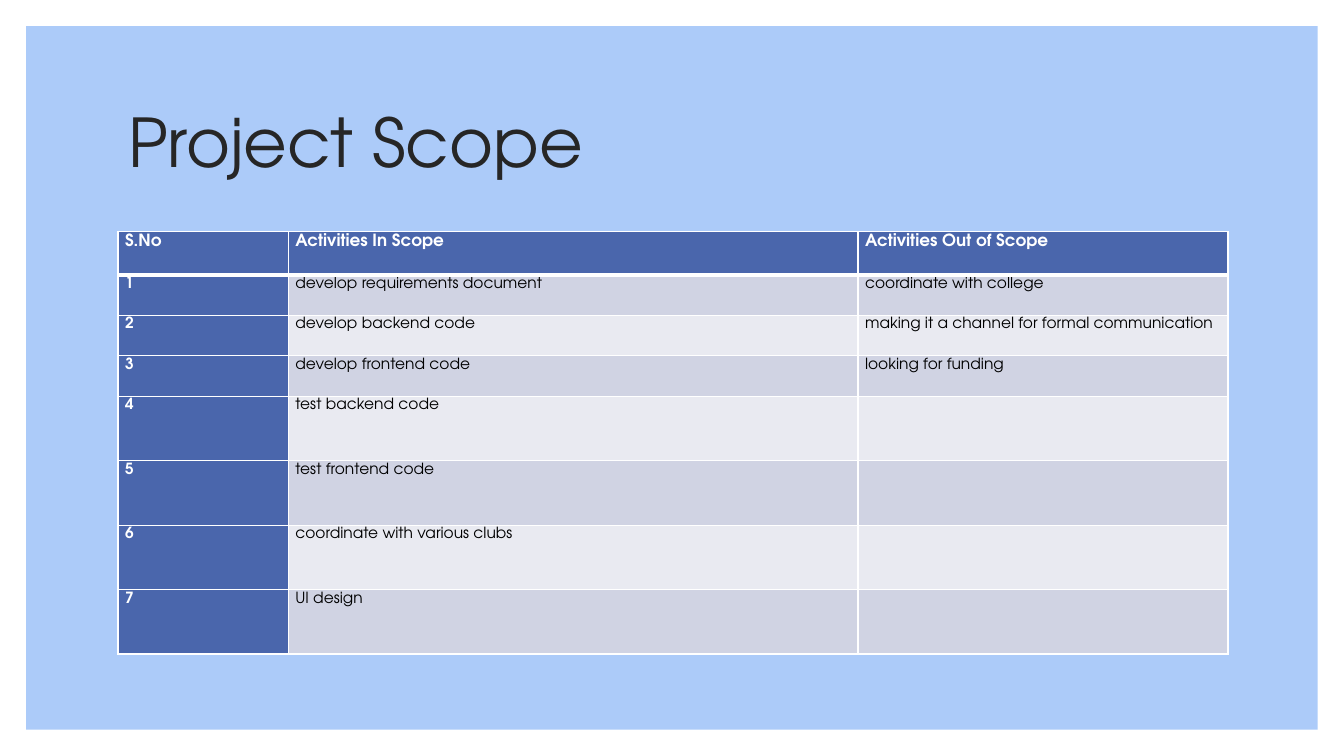
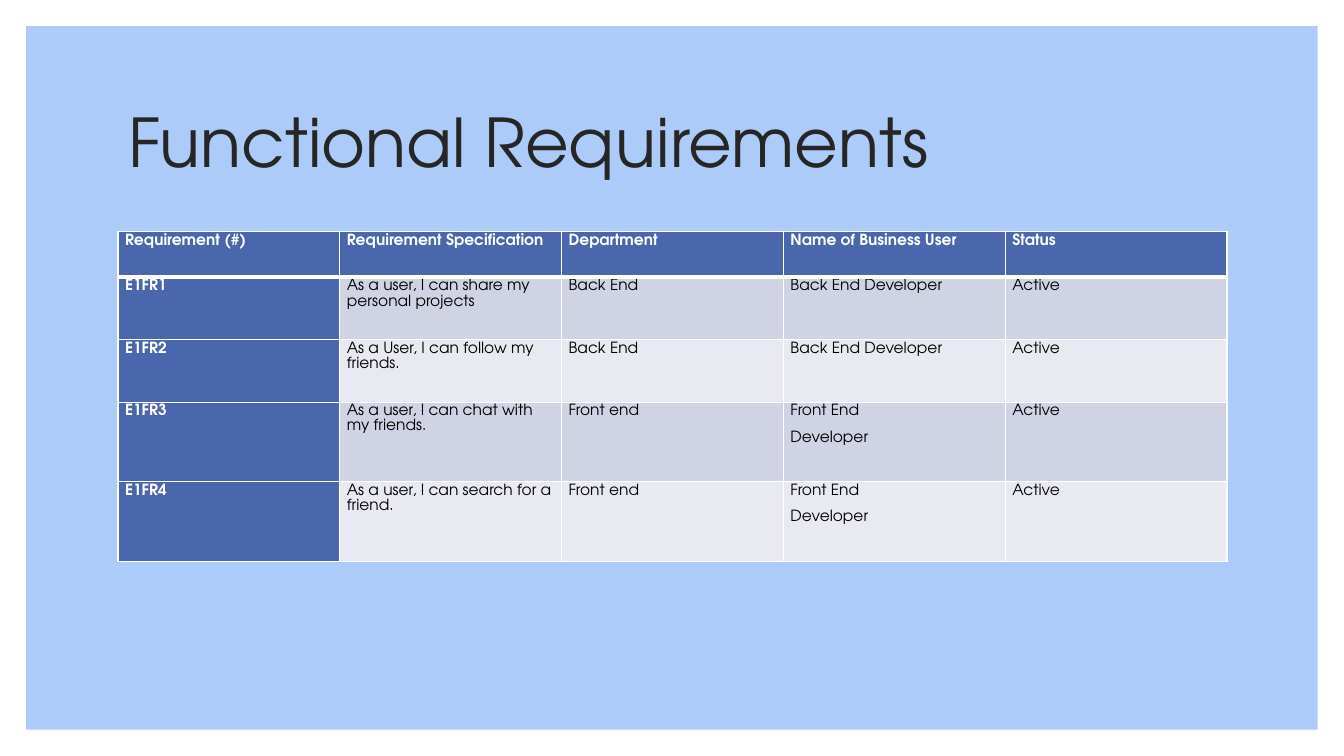
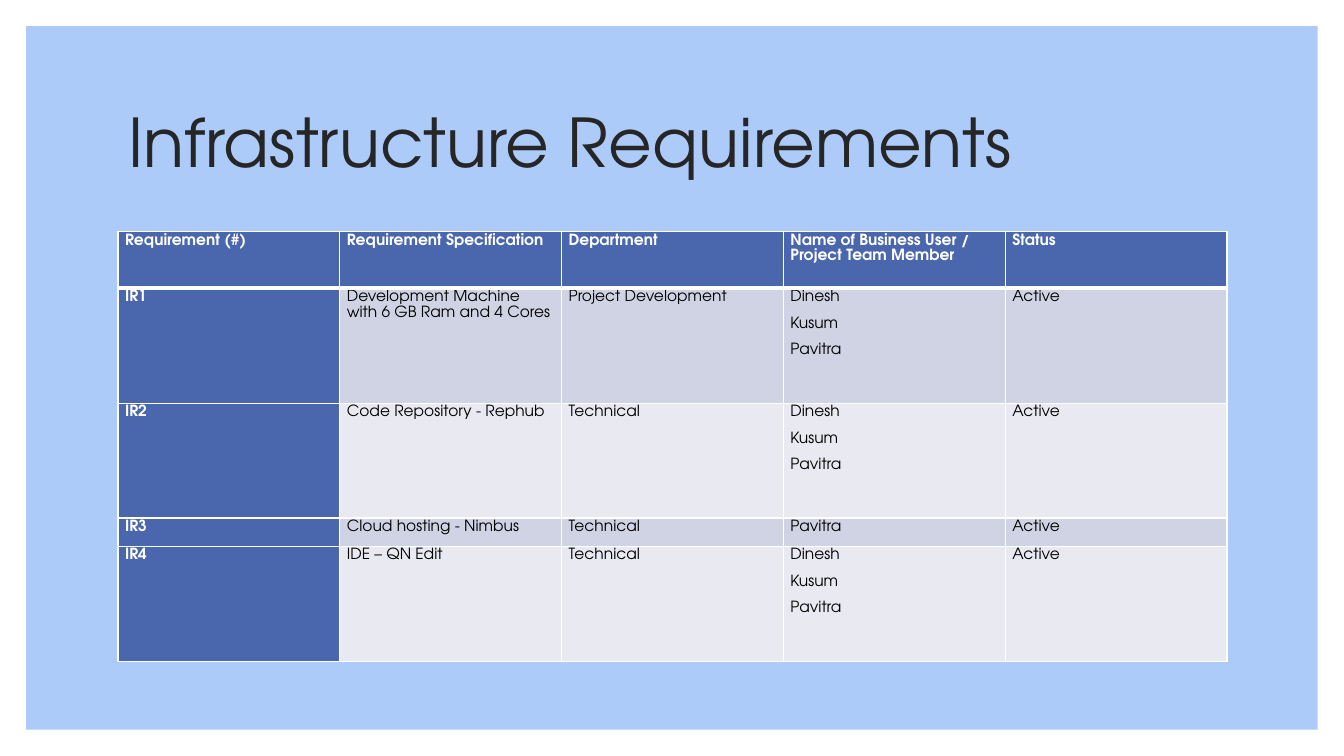
from lxml.etree import SubElement
from pptx import Presentation
from pptx.dml.color import RGBColor
from pptx.enum.shapes import MSO_SHAPE
from pptx.enum.text import MSO_ANCHOR, MSO_AUTO_SIZE, PP_ALIGN
from pptx.oxml.ns import qn
from pptx.util import Inches, Pt

FONT = "TeX Gyre Adventor"
PANEL, TITLE, ACCENT = "ACCBF9", "262626", "4A66AC"
WHITE, BLACK = "FFFFFF", "000000"
BANDS = ("D0D3E3", "E9EAF1")
SLIDE_WIDTH, SLIDE_HEIGHT, MARGIN = 13.33, 7.5, 0.26
TITLE_BOX = (1.17, 0.7, 11, 1.5)
TABLE_LEFT, TABLE_TOP, TABLE_WIDTH = 1.17, 2.3, 11
TEAM = "Dinesh\nKusum\nPavitra"

SCOPE_ROWS = [
    ("S.No", "Activities In Scope", "Activities Out of Scope"),
    ("1", "develop requirements document", "coordinate with college"),
    ("2", "develop backend code", "making it a channel for formal communication"),
    ("3", "develop frontend code", "looking for funding"),
    ("4", "test backend code", ""),
    ("5", "test frontend code", ""),
    ("6", "coordinate with various clubs", ""),
    ("7", "UI design", ""),
]
FUNCTIONAL_ROWS = [
    ("Requirement (#)", "Requirement Specification", "Department",
     "Name of Business User", "Status"),
    ("E1FR1", "As a user, I can share my personal projects", "Back End",
     "Back End Developer", "Active"),
    ("E1FR2", "As a User, I can follow my friends.", "Back End",
     "Back End Developer", "Active"),
    ("E1FR3", "As a user, I can chat with my friends.", "Front end",
     "Front End\nDeveloper", "Active"),
    ("E1FR4", "As a user, I can search for a friend.", "Front end",
     "Front End\nDeveloper", "Active"),
]
INFRASTRUCTURE_ROWS = [
    ("Requirement (#)", "Requirement Specification", "Department",
     "Name of Business User / Project Team Member", "Status"),
    ("IR1", "Development Machine with 6 GB Ram and 4 Cores",
     "Project Development", TEAM, "Active"),
    ("IR2", "Code Repository - Rephub", "Technical", TEAM, "Active"),
    ("IR3", "Cloud hosting - Nimbus", "Technical", "Pavitra", "Active"),
    ("IR4", "IDE – QN Edit", "Technical", TEAM, "Active"),
]


def color(hex_string):
    return RGBColor.from_string(hex_string)


def style_font(font, size, hex_string, bold=False):
    font.name, font.size, font.bold = FONT, Pt(size), bold
    font.color.rgb = color(hex_string)


def prepare_layout(presentation):
    """Give the title-only layout its panel and title position."""
    layout = presentation.slide_layouts[5]
    place(layout.placeholders[0], TITLE_BOX)
    return layout


def place(shape, box):
    shape.left, shape.top, shape.width, shape.height = map(Inches, box)


def move_panel_to_layout(slide, layout):
    """Draw the panel on a slide, then hand it to the layout as its back shape."""
    panel = slide.shapes.add_shape(
        MSO_SHAPE.RECTANGLE, Inches(MARGIN), Inches(MARGIN),
        Inches(SLIDE_WIDTH - 2 * MARGIN), Inches(SLIDE_HEIGHT - 2 * MARGIN))
    panel.shadow.inherit = False
    panel.fill.solid()
    panel.fill.fore_color.rgb = color(PANEL)
    panel.line.fill.background()
    layout.shapes.element.insert(2, panel.element)


def add_title(slide, text):
    title = slide.shapes.title
    frame = title.text_frame
    frame.text = text
    frame.auto_size = MSO_AUTO_SIZE.NONE
    frame.vertical_anchor = MSO_ANCHOR.MIDDLE
    paragraph = frame.paragraphs[0]
    paragraph.alignment = PP_ALIGN.LEFT
    paragraph.line_spacing = 0.9
    style_font(paragraph.runs[0].font, 48, TITLE)


def add_borders(cell, top, bottom):
    properties = cell._tc.get_or_add_tcPr()
    for side, width in (("L", 1), ("R", 1), ("T", top), ("B", bottom)):
        line = SubElement(properties, qn(f"a:ln{side}"), w=str(Pt(width)))
        fill = SubElement(line, qn("a:solidFill"))
        SubElement(fill, qn("a:srgbClr"), val=WHITE)


def fill_cell(cell, text, size, row, column):
    is_heading = row == 0 or column == 0
    add_borders(cell, top=3 if row == 1 else 1, bottom=3 if row == 0 else 1)
    cell.fill.solid()
    cell.fill.fore_color.rgb = color(ACCENT if is_heading else BANDS[(row - 1) % 2])
    if not text:
        return
    cell.margin_left = cell.margin_right = Inches(0.07)
    cell.margin_top, cell.margin_bottom = Inches(0.01), 0
    cell.text_frame.text = text
    for paragraph in cell.text_frame.paragraphs:
        paragraph.line_spacing = 1.07
        paragraph.space_after = Pt(8)
        style_font(paragraph.runs[0].font, size,
                   WHITE if is_heading else BLACK, is_heading)


def add_grid(slide, rows, column_widths, row_heights, header_size):
    table = slide.shapes.add_table(
        len(rows), len(column_widths), Inches(TABLE_LEFT), Inches(TABLE_TOP),
        Inches(TABLE_WIDTH), Inches(sum(row_heights))).table
    table.first_row = table.horz_banding = False
    for column, width in zip(table.columns, column_widths):
        column.width = Inches(width)
    for row, height in zip(table.rows, row_heights):
        row.height = Inches(height)
    for r, texts in enumerate(rows):
        for c, text in enumerate(texts):
            fill_cell(table.cell(r, c), text, 11 if r else header_size, r, c)


def add_table_slide(presentation, layout, title, rows, column_widths,
                    row_heights, header_size=11):
    slide = presentation.slides.add_slide(layout)
    add_title(slide, title)
    add_grid(slide, rows, column_widths, row_heights, header_size)
    return slide


def main():
    presentation = Presentation()
    presentation.slide_width = Inches(SLIDE_WIDTH)
    presentation.slide_height = Inches(SLIDE_HEIGHT)
    layout = prepare_layout(presentation)
    equal_columns = [TABLE_WIDTH / 5] * 5
    scope = add_table_slide(
        presentation, layout, "Project Scope", SCOPE_ROWS,
        [1.69, 5.65, 3.67], [0.43] + [0.4] * 3 + [0.64] * 4, header_size=12)
    move_panel_to_layout(scope, layout)
    add_table_slide(
        presentation, layout, "Functional Requirements", FUNCTIONAL_ROWS,
        equal_columns, [0.45, 0.62, 0.62, 0.79, 0.79])
    add_table_slide(
        presentation, layout, "Infrastructure Requirements", INFRASTRUCTURE_ROWS,
        equal_columns, [0.56, 1.14, 1.14, 0.28, 1.14])
    presentation.save("out.pptx")


if __name__ == "__main__":
    main()
